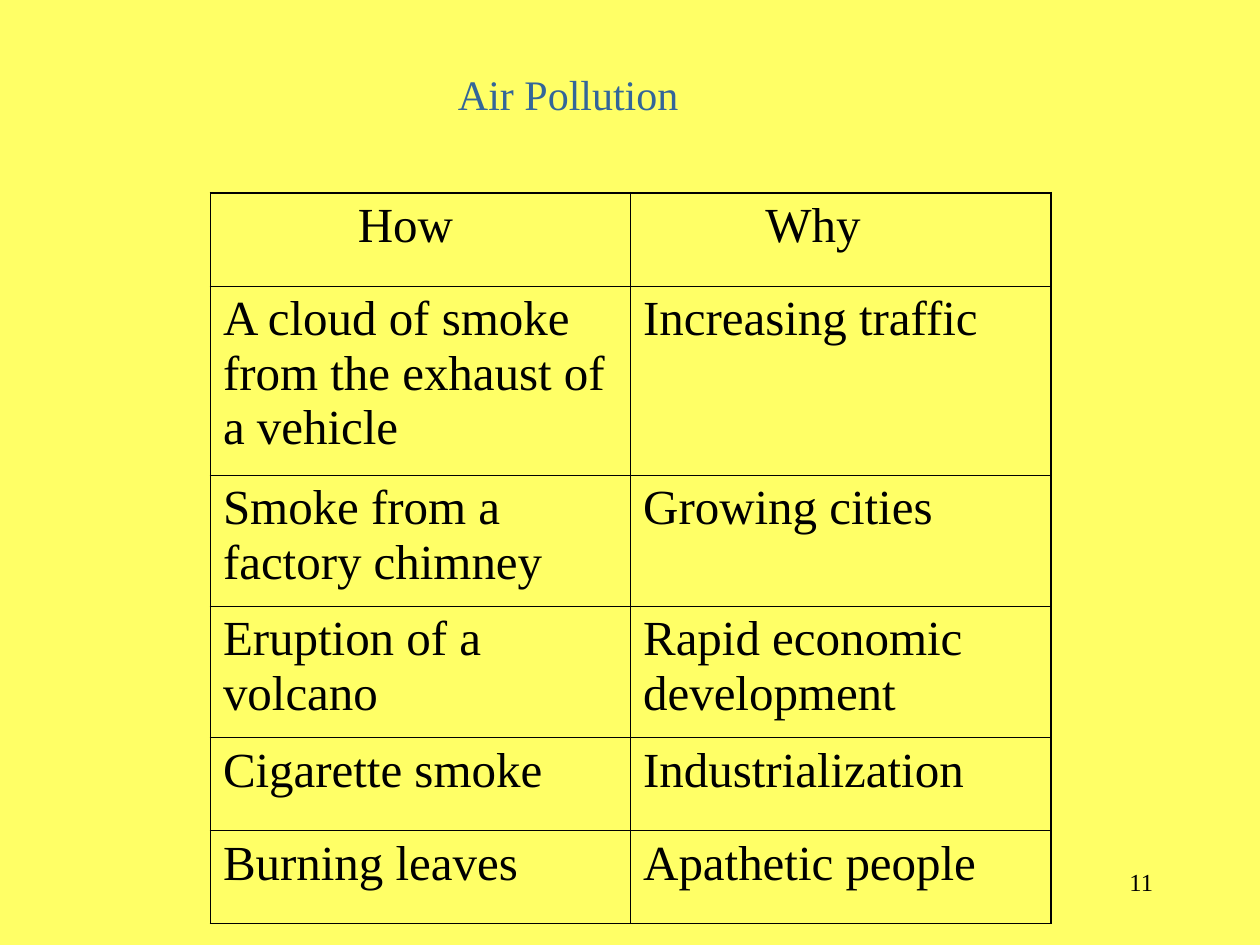
from lxml import etree
from pptx import Presentation
from pptx import util as u
from pptx.dml.color import RGBColor
from pptx.enum import text
from pptx.oxml import ns

COLORS = {"page": "FFFF66", "title": "336699", "ink": "000000"}
FONT = "Times New Roman"
WIDTH, HEIGHT = u.Inches(10), u.Inches(7.5)

ROWS = [
    ("How", "Why"),
    ("A cloud of smoke from the exhaust of a vehicle", "Increasing traffic"),
    ("Smoke from a factory chimney", "Growing cities"),
    ("Eruption of a volcano", "Rapid economic development"),
    ("Cigarette smoke", "Industrialization"),
    ("Burning leaves", "Apathetic people"),
]
ROW_HEIGHTS = [0.74, 1.5, 1.04, 1.04, 0.74, 0.74]
HEADER_INDENTS = [1.07, 0.97]
OUTER, INNER = 1.08, 0.45


def write(frame, wording, size, color="ink", align=text.PP_ALIGN.LEFT, indent=0):
    """Fill a text frame with one formatted paragraph."""
    para = frame.paragraphs[0]
    para.alignment = align
    if indent:
        para._p.get_or_add_pPr().set("marL", str(u.Inches(indent)))
    span = para.add_run()
    span.text = wording
    span.font.name = FONT
    span.font.size = u.Pt(size)
    span.font.bold = False
    span.font.color.rgb = RGBColor.from_string(COLORS[color])


def place(shape, box):
    shape.left, shape.top, shape.width, shape.height = map(u.Inches, box)


def set_borders(cell, widths):
    """Draw the cell's edges; widths maps L, R, T, B to points."""
    properties = cell._tc.get_or_add_tcPr()
    for side, width in widths.items():
        line = etree.SubElement(properties, ns.qn(f"a:ln{side}"), w=str(u.Pt(width)))
        fill = etree.SubElement(line, ns.qn("a:solidFill"))
        etree.SubElement(fill, ns.qn("a:srgbClr"), val=COLORS["ink"])


def add_title(page, box):
    title = page.shapes.title
    place(title, box)
    title.text_frame.vertical_anchor = text.MSO_ANCHOR.MIDDLE
    write(title.text_frame, "Air Pollution", 24, "title", text.PP_ALIGN.CENTER)


def add_causes(page, box):
    last_row, last_col = len(ROWS) - 1, len(ROWS[0]) - 1
    frame = page.shapes.add_table(len(ROWS), len(ROWS[0]), *map(u.Inches, box))
    table = frame.table
    table.first_row = table.horz_banding = False
    for row, height in zip(table.rows, ROW_HEIGHTS):
        row.height = u.Inches(height)
    for r, entries in enumerate(ROWS):
        for c, wording in enumerate(entries):
            cell = table.cell(r, c)
            set_borders(cell, {
                "L": OUTER if c == 0 else INNER,
                "R": OUTER if c == last_col else INNER,
                "T": OUTER if r == 0 else INNER,
                "B": OUTER if r == last_row else INNER,
            })
            cell.fill.background()
            write(cell.text_frame, wording, 28,
                  indent=HEADER_INDENTS[c] if r == 0 else 0)


def add_page_number(page, box):
    number = page.shapes.add_textbox(*map(u.Inches, box))
    number.text_frame.word_wrap = True
    write(number.text_frame, "11", 14, align=text.PP_ALIGN.RIGHT)


def main():
    deck = Presentation()
    deck.slide_width, deck.slide_height = WIDTH, HEIGHT
    page = deck.slides.add_slide(deck.slide_layouts.get_by_name("Title Only"))
    page.background.fill.solid()
    page.background.fill.fore_color.rgb = RGBColor.from_string(COLORS["page"])

    add_causes(page, (1.67, 1.53, 6.67, sum(ROW_HEIGHTS)))
    add_title(page, (2.01, 0.29, 5, 0.9))
    add_page_number(page, (7.17, 6.83, 2.08, 0.5))
    deck.save("out.pptx")


if __name__ == "__main__":
    main()
